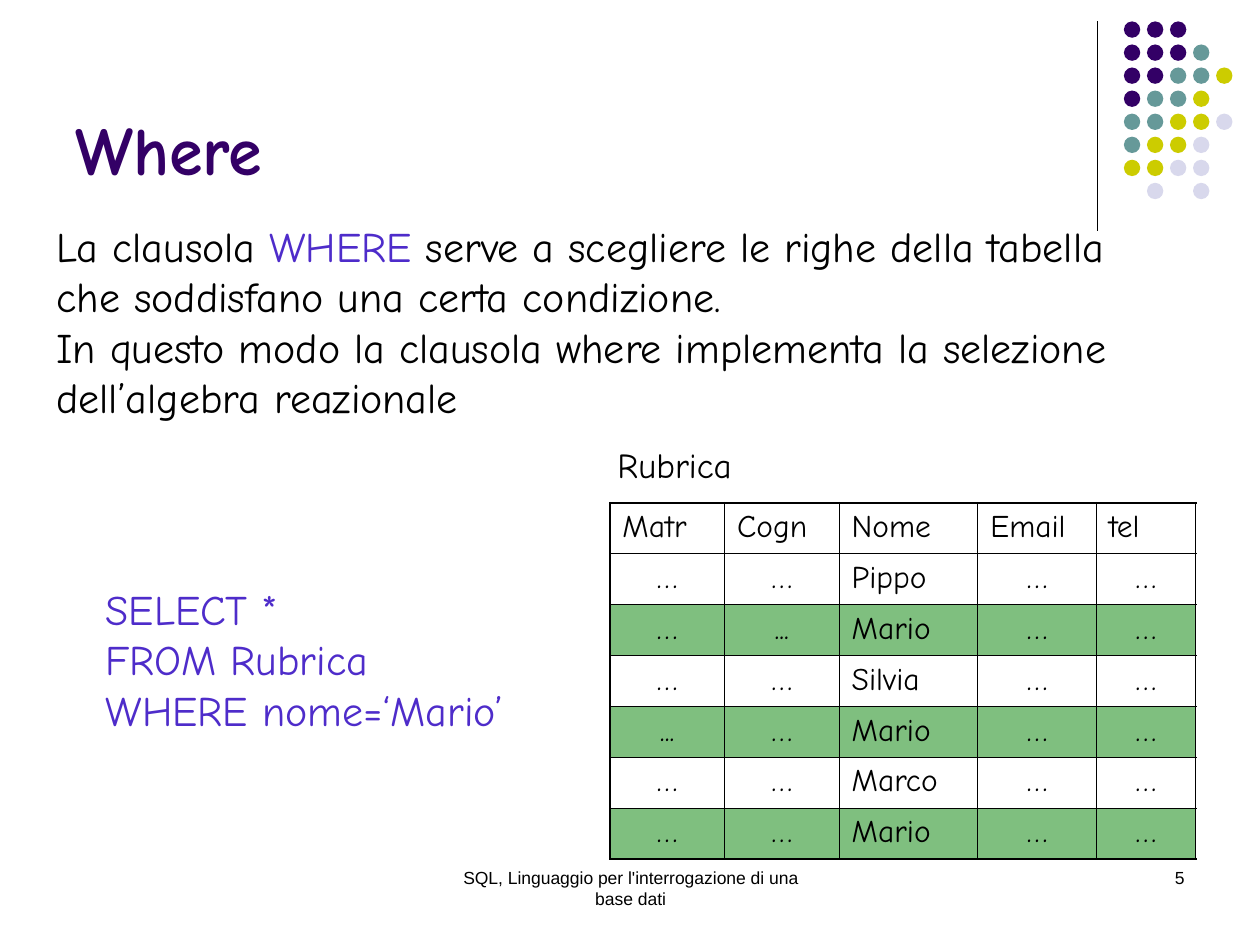
from dataclasses import dataclass
from typing import Any, NamedTuple

import lxml.etree
import pptx
import pptx.dml.color
import pptx.enum.shapes
import pptx.enum.text
import pptx.oxml.ns
import pptx.util

Align = pptx.enum.text.PP_ALIGN
Anchor = pptx.enum.text.MSO_ANCHOR
AutoSize = pptx.enum.text.MSO_AUTO_SIZE


@dataclass(frozen=True)
class Theme:
    ink: str = "000000"
    violet: str = "330066"
    teal: str = "669999"
    olive: str = "CCCC00"
    lilac: str = "D8D8EC"
    sql: str = "4E2CCA"
    match: str = "008000"
    match_alpha: int = 50
    hand: str = "Comic Neue"
    plain: str = "Arial"
    title_size: int = 39
    body_size: int = 24
    caption_size: int = 20
    cell_size: int = 18
    footer_size: int = 10
    inner_line: float = 0.45
    outer_line: float = 1.08
    rule_line: float = 0.75


THEME = Theme()

# The slide is a grid of 100 columns by 75 rows
SLIDE_WIDTH, SLIDE_HEIGHT = pptx.util.Inches(10), pptx.util.Inches(7.5)
COLUMNS, ROWS = 100, 75


class Area(NamedTuple):
    column: float
    row: float
    columns: float
    rows: float


class Run(NamedTuple):
    text: str
    color: str = THEME.ink


@dataclass(frozen=True)
class TextBlock:
    area: Area
    paragraphs: list[list[Run]]
    size: int
    font: str = THEME.hand
    align: Any = Align.LEFT
    wrap: bool = True
    fit: Any = AutoSize.NONE


def across(columns: float) -> int:
    return round(SLIDE_WIDTH * columns / COLUMNS)


def down(rows: float) -> int:
    return round(SLIDE_HEIGHT * rows / ROWS)


def place(area: Area) -> tuple[int, int, int, int]:
    return across(area.column), down(area.row), across(area.columns), down(area.rows)


def rgb(color: str) -> pptx.dml.color.RGBColor:
    return pptx.dml.color.RGBColor.from_string(color)


def apply(target: Any, values: dict[str, Any]) -> None:
    for name, value in values.items():
        setattr(target, name, value)


def write(paragraph: Any, runs: list[Run], size: int, font: str,
          align: Any = Align.LEFT, bold: bool = False) -> None:
    paragraph.alignment = align
    for text, color in runs:
        run = paragraph.add_run()
        run.text = text
        apply(run.font, {"size": pptx.util.Pt(size), "name": font, "bold": bold})
        run.font.color.rgb = rgb(color)


def draw_title(slide: Any, area: Area, text: str) -> None:
    title = slide.shapes.title
    apply(title, dict(zip(("left", "top", "width", "height"), place(area))))
    apply(title.text_frame, {"vertical_anchor": Anchor.BOTTOM, "word_wrap": True,
                             "auto_size": AutoSize.NONE})
    write(title.text_frame.paragraphs[0], [Run(text, THEME.violet)],
          THEME.title_size, THEME.hand, bold=True)


def draw_text(slide: Any, block: TextBlock) -> None:
    frame = slide.shapes.add_textbox(*place(block.area)).text_frame
    apply(frame, {"word_wrap": block.wrap, "auto_size": block.fit,
                  "vertical_anchor": Anchor.TOP})
    for index, runs in enumerate(block.paragraphs):
        paragraph = frame.add_paragraph() if index else frame.paragraphs[0]
        write(paragraph, runs, block.size, block.font, block.align)


def draw_rule(slide: Any, column: float, top: float, bottom: float) -> None:
    rule = slide.shapes.add_connector(pptx.enum.shapes.MSO_CONNECTOR.STRAIGHT,
                                      across(column), down(top), across(column), down(bottom))
    rule.line.color.rgb = rgb(THEME.ink)
    rule.line.width = pptx.util.Pt(THEME.rule_line)
    lxml.etree.SubElement(rule.element.spPr, pptx.oxml.ns.qn("a:effectLst"))


def draw_dots(slide: Any, column: float, row: float, pitch: float,
              diameter: float, pattern: list[str]) -> None:
    colors = {"v": THEME.violet, "t": THEME.teal, "o": THEME.olive, "l": THEME.lilac}
    dots = slide.shapes.add_group_shape().shapes
    for y, line in enumerate(pattern):
        for x, key in enumerate(line):
            if key in colors:
                area = Area(column + x * pitch, row + y * pitch, diameter, diameter)
                dot = dots.add_shape(pptx.enum.shapes.MSO_SHAPE.OVAL, *place(area))
                dot.shadow.inherit = False
                dot.fill.solid()
                dot.fill.fore_color.rgb = rgb(colors[key])
                dot.line.fill.background()


def add_border(cell: Any, side: str, width: float) -> None:
    qn = pptx.oxml.ns.qn
    line = lxml.etree.SubElement(cell._tc.get_or_add_tcPr(), qn(f"a:ln{side}"),
                                 w=str(pptx.util.Pt(width)))
    fill = lxml.etree.SubElement(line, qn("a:solidFill"))
    lxml.etree.SubElement(fill, qn("a:srgbClr"), val=THEME.ink)


def fill_match(cell: Any) -> None:
    cell.fill.solid()
    cell.fill.fore_color.rgb = rgb(THEME.match)
    color = cell._tc.tcPr.find(".//" + pptx.oxml.ns.qn("a:srgbClr"))
    # The green is the last fill, after those of the borders
    color = cell._tc.tcPr.findall(pptx.oxml.ns.qn("a:solidFill"))[-1][0]
    lxml.etree.SubElement(color, pptx.oxml.ns.qn("a:alpha"), val=str(THEME.match_alpha * 1000))


def draw_table(slide: Any, area: Area, widths: list[float],
               rows: list[list[str]], wanted: str) -> None:
    table = slide.shapes.add_table(len(rows), len(widths), *place(area)).table
    apply(table, {"first_row": False, "horz_banding": False})
    for column, width in zip(table.columns, widths):
        column.width = across(width)
    last_row, last_column = len(rows) - 1, len(widths) - 1
    for y, values in enumerate(rows):
        table.rows[y].height = down(area.rows / len(rows))
        for x, value in enumerate(values):
            cell = table.cell(y, x)
            dots = value in ("…", "...")
            write(cell.text_frame.paragraphs[0], [Run(value)], THEME.cell_size,
                  THEME.hand, Align.CENTER if dots else Align.LEFT)
            edges = {"L": x == 0, "R": x == last_column, "T": y == 0, "B": y == last_row}
            for side, outer in edges.items():
                add_border(cell, side, THEME.outer_line if outer else THEME.inner_line)
            if wanted in values:
                fill_match(cell)
            else:
                cell.fill.background()


DOTS = ["vvv", "vvvt", "vvtto", "vtto", "ttool", "tool", "ooll", " l l"]
RUBRICA = [["Matr", "Cogn", "Nome", "Email", "tel"]] + [
    ["…", "…", name, "…", "…"]
    for name in ("Pippo", "Mario", "Silvia", "Mario", "Marco", "Mario")]
RUBRICA[2][1] = RUBRICA[4][0] = "..."

TEXTS = [
    # Explanation
    TextBlock(Area(3.5, 17, 85.8, 17), [
        [Run("La clausola "), Run("WHERE", THEME.sql),
         Run(" serve a scegliere le righe della tabella che soddisfano una certa condizione.")],
        [Run("In questo modo la clausola where implementa la selezione "
             "dell’algebra reazionale")]], THEME.body_size, fit=AutoSize.SHAPE_TO_FIT_TEXT),
    # Query
    TextBlock(Area(7.4, 45.8, 33.6, 13),
              [[Run(line, THEME.sql)]
               for line in ("SELECT *", "FROM Rubrica", "WHERE nome=‘Mario’")],
              THEME.body_size, wrap=False, fit=AutoSize.SHAPE_TO_FIT_TEXT),
    # Table caption
    TextBlock(Area(48, 34.7, 11.1, 4.4), [[Run("Rubrica")]], THEME.caption_size,
              align=Align.CENTER, wrap=False, fit=AutoSize.SHAPE_TO_FIT_TEXT),
    # Footer and page number
    TextBlock(Area(34.2, 68.3, 31.7, 5),
              [[Run("SQL, Linguaggio per l'interrogazione di una base dati")]],
              THEME.footer_size, THEME.plain, Align.CENTER),
    TextBlock(Area(71.7, 68.3, 23.3, 5), [[Run("5")]],
              THEME.footer_size, THEME.plain, Align.RIGHT),
]


def main() -> None:
    deck = pptx.Presentation()
    apply(deck, {"slide_width": SLIDE_WIDTH, "slide_height": SLIDE_HEIGHT})
    slide = deck.slides.add_slide(deck.slide_layouts.get_by_name("Title Only"))
    # Corner decoration
    draw_rule(slide, 87.1, 1.7, 18.3)
    draw_dots(slide, 89.2, 1.7, 1.83, 1.3, DOTS)
    # Content
    draw_title(slide, Area(5, 1.3, 82.5, 14.2), "Where")
    draw_table(slide, Area(48.4, 39.9, 46.5, 28.3), [9.1, 9.1, 11, 9.4, 7.9], RUBRICA, "Mario")
    for block in TEXTS:
        draw_text(slide, block)
    deck.save("out.pptx")


if __name__ == "__main__":
    main()
